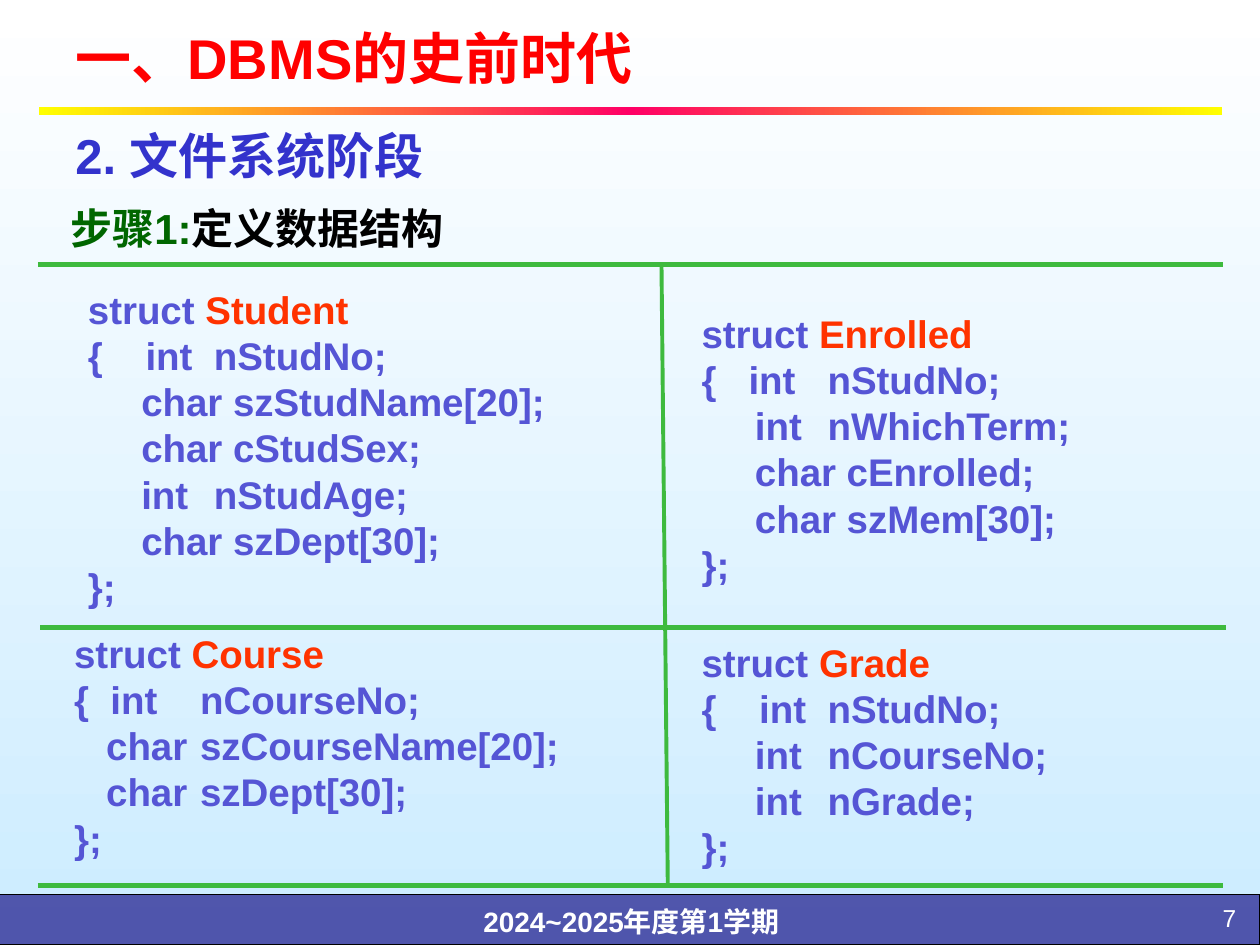
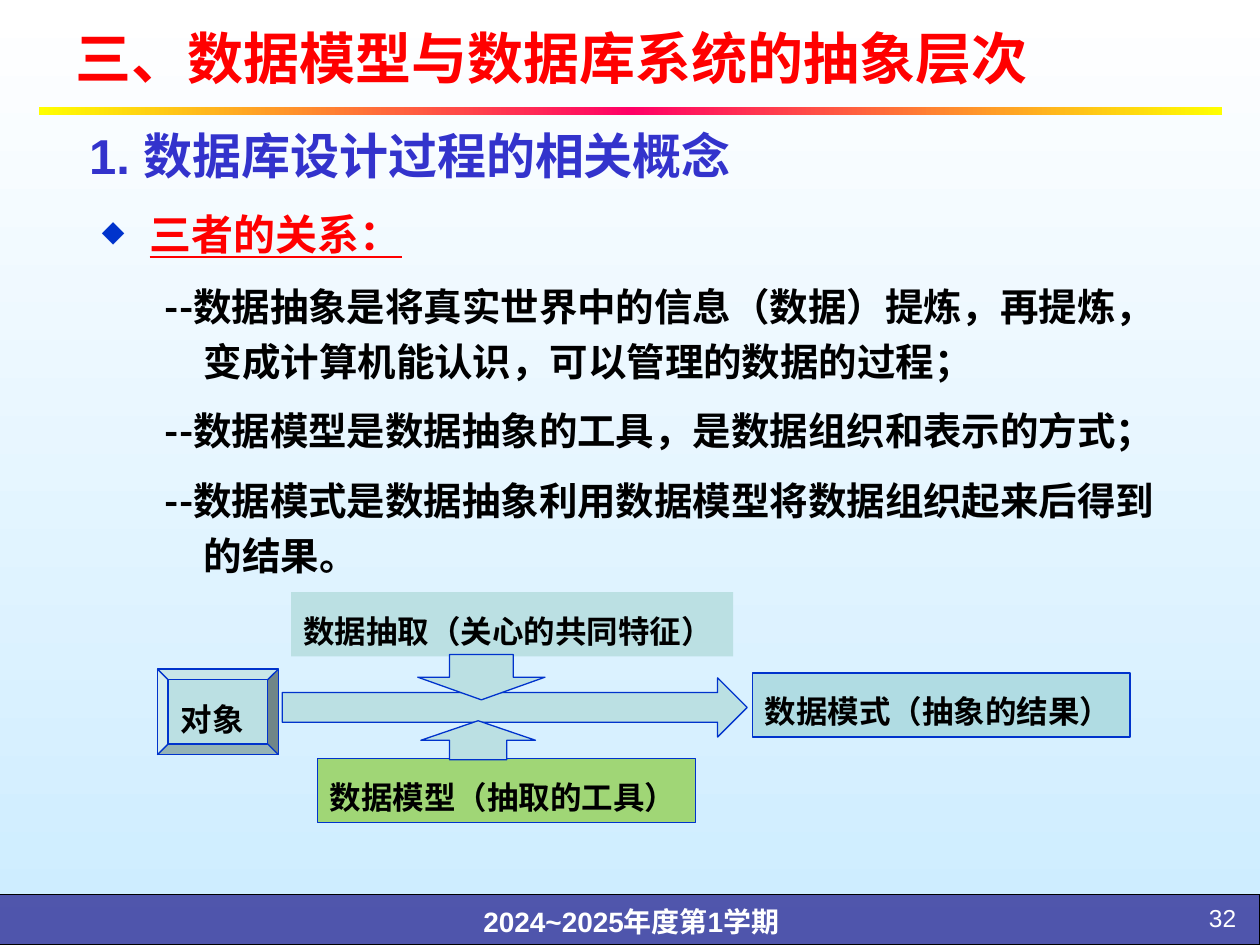
from copy import deepcopy

from pptx import Presentation
from pptx.dml.color import RGBColor
from pptx.enum.shapes import MSO_CONNECTOR, MSO_SHAPE
from pptx.enum.text import MSO_ANCHOR, PP_ALIGN
from pptx.oxml.ns import qn
from pptx.util import Inches, Pt
from lxml.etree import SubElement

LATIN, CJK = "Arial", "Noto Sans CJK SC"
WHITE = RGBColor(0xFF, 0xFF, 0xFF)
BLACK = RGBColor(0, 0, 0)
SKY = RGBColor(0xCC, 0xEC, 0xFF)
NAVY = RGBColor(0x33, 0x33, 0x99)
YELLOW = RGBColor(0xFF, 0xFF, 0)
PINK = RGBColor(0xFF, 0, 0x66)
RED = RGBColor(0xFF, 0, 0)
HEADING_BLUE = RGBColor(0x33, 0x33, 0xCC)
STEP_GREEN = RGBColor(0, 0x66, 0)
CODE_BLUE = RGBColor(0x55, 0x55, 0xD5)
STRUCT_RED = RGBColor(0xFF, 0x33, 0)
GRID_GREEN = RGBColor(0x3E, 0xBA, 0x3E)
OUTLINE_BLUE = RGBColor(0, 0x33, 0xCC)
PALE_TEAL = RGBColor(0xBB, 0xE0, 0xE3)
TEAL = RGBColor(0x9E, 0xD3, 0xD7)
LIME = RGBColor(0x92, 0xD0, 0x50)

STRUCTS = [
    (0.6, 2.22, 4.56, 2.69, "Student", [
        "{    int\tnStudNo;", "     char szStudName[20];", "     char cStudSex;",
        "     int\tnStudAge;", "     char szDept[30];", "};"]),
    (5.47, 2.41, 4.22, 2.32, "Enrolled", [
        "{   int\tnStudNo;", "     int\tnWhichTerm;", "     char cEnrolled;",
        "     char szMem[30];", "};"]),
    (0.49, 4.95, 4.78, 1.95, "Course", [
        "{  int\tnCourseNo;", "   char\tszCourseName[20];", "   char\tszDept[30];", "};"]),
    (5.47, 5.02, 4.04, 1.95, "Grade", [
        "{    int\tnStudNo;", "     int\tnCourseNo;", "     int\tnGrade;", "};"]),
]
RELATION_POINTS = [
    "--数据抽象是将真实世界中的信息（数据）提炼，再提炼，变成计算机能认识，可以管理的数据的过程；",
    "--数据模型是数据抽象的工具，是数据组织和表示的方式；",
    "--数据模式是数据抽象利用数据模型将数据组织起来后得到的结果。",
]


def add_run(paragraph, text, size, color, bold=True, latin=LATIN):
    run = paragraph.add_run()
    run.text = text
    font = run.font
    font.size, font.bold, font.name = Pt(size), bold, latin
    font.color.rgb = color
    SubElement(font._element, qn("a:ea"), typeface=CJK)
    return run


def add_frame(slide, left, top, width, height, anchor=MSO_ANCHOR.TOP):
    """Add a wrapping text box and return its text frame."""
    frame = slide.shapes.add_textbox(
        Inches(left), Inches(top), Inches(width), Inches(height)).text_frame
    frame.word_wrap = True
    frame.vertical_anchor = anchor
    return frame


def add_block(slide, kind, left, top, width, height, fill=None, alpha=100, line=None):
    block = slide.shapes.add_shape(
        kind, Inches(left), Inches(top), Inches(width), Inches(height))
    block.shadow.inherit = False
    if fill is not None:
        block.fill.solid()
        block.fill.fore_color.rgb = fill
        if alpha < 100:
            color = block.fill._xPr.find(qn("a:solidFill"))[0]
            SubElement(color, qn("a:alpha"), val=str(alpha * 1000))
    if line is None:
        block.line.fill.background()
    else:
        block.line.color.rgb = line
        block.line.width = Pt(0.75)
    return block


def set_gradient(fill, colors, angle):
    fill.gradient()
    fill.gradient_angle = angle
    stop_list = fill._xPr.find(".//" + qn("a:gsLst"))
    while len(stop_list) < len(colors):
        stop_list.append(deepcopy(stop_list[0]))
    for i, (stop, color) in enumerate(zip(fill.gradient_stops, colors)):
        stop.position = i / (len(colors) - 1)
        stop.color.rgb = color


def add_base_slide(deck, title, number):
    """Add a slide with the shared background, footer, rule and title."""
    slide = deck.slides.add_slide(deck.slide_layouts[6])
    set_gradient(slide.background.fill, [WHITE, SKY], 270)

    add_block(slide, MSO_SHAPE.RECTANGLE, -0.01, 7.1, 10.01, 0.4, NAVY, 81, BLACK)
    term = add_frame(slide, 2.69, 7.08, 4.64, 0.42).paragraphs[0]
    term.alignment, term.line_spacing = PP_ALIGN.CENTER, 1.2
    add_run(term, "2024~2025年度第1学期", 16, WHITE)

    rule = add_block(slide, MSO_SHAPE.RECTANGLE, 0.31, 0.85, 9.39, 0.06)
    set_gradient(rule.fill, [YELLOW, PINK, YELLOW], 0)

    page = add_frame(slide, 8.94, 7.12, 0.97, 0.3).paragraphs[0]
    page.alignment = PP_ALIGN.RIGHT
    add_run(page, str(number), 14, WHITE, bold=False)

    heading = add_frame(slide, 0.5, 0.07, 9, 0.76, MSO_ANCHOR.MIDDLE)
    add_run(heading.paragraphs[0], title, 32, RED)
    return slide


def add_section(slide, text, left, top, width, height):
    frame = add_frame(slide, left, top, width, height, MSO_ANCHOR.MIDDLE)
    add_run(frame.paragraphs[0], text, 28, HEADING_BLUE)


def add_struct(slide, left, top, width, height, name, body):
    frame = add_frame(slide, left, top, width, height)
    declaration = frame.paragraphs[0]
    add_run(declaration, "struct ", 22, CODE_BLUE)
    add_run(declaration, name, 22, STRUCT_RED)
    for code in body:
        add_run(frame.add_paragraph(), code, 22, CODE_BLUE)


def add_grid(slide, left, top, width, height):
    """Draw the lines that divide the four structs."""
    right, bottom, middle = left + width, top + height, top + 2.88
    for x1, y1, x2, y2, weight in [
        (left + 0.02, middle, right + 0.02, middle, 3),
        (left + 4.95, top + 0.01, left + 5, bottom, 2.25),
        (left, top, right, top, 3),
        (left, bottom, right, bottom, 3),
    ]:
        divider = slide.shapes.add_connector(
            MSO_CONNECTOR.STRAIGHT, Inches(x1), Inches(y1), Inches(x2), Inches(y2))
        divider.line.color.rgb = GRID_GREEN
        divider.line.width = Pt(weight)
        SubElement(divider._element.spPr, qn("a:effectLst"))


def set_hanging_indent(paragraph, margin, hang):
    props = paragraph._p.get_or_add_pPr()
    props.set("marL", str(Inches(margin)))
    props.set("indent", str(Inches(-hang)))
    return props


def add_relations(slide, left, top, width, height):
    frame = add_frame(slide, left, top, width, height)
    lead = frame.paragraphs[0]
    lead.line_spacing = 0.9
    props = set_hanging_indent(lead, 0.38, 0.38)
    bullet_color = SubElement(props, qn("a:buClr"))
    SubElement(bullet_color, qn("a:srgbClr"), val=str(OUTLINE_BLUE))
    SubElement(props, qn("a:buSzPct"), val="70000")
    SubElement(props, qn("a:buChar"), char="◆")
    add_run(lead, "三者的关系：", 24, RED).font.underline = True

    for text in RELATION_POINTS:
        point = frame.add_paragraph()
        point.level, point.line_spacing, point.space_before = 1, 1.2, Pt(8)
        set_hanging_indent(point, 0.81, 0.31)
        add_run(point, text, 22, BLACK, latin=CJK)


def label_block(block, text, anchor=MSO_ANCHOR.TOP, latin=CJK):
    frame = block.text_frame
    frame.word_wrap = False
    frame.vertical_anchor = anchor
    label = frame.paragraphs[0]
    label.alignment, label.line_spacing = PP_ALIGN.LEFT, 1.35
    add_run(label, text, 18, BLACK, latin=latin)


def add_abstraction_flow(slide, left, top):
    """Draw how an object becomes a data schema."""
    for x, y, width, text, fill, alpha, line in [
        (1.06, 0, 3.51, "数据抽取（关心的共同特征）", PALE_TEAL, 100, None),
        (4.72, 0.64, 3, "数据模式（抽象的结果）", TEAL, 68, OUTLINE_BLUE),
        (1.27, 1.32, 3, "数据模型（抽取的工具）", LIME, 78, OUTLINE_BLUE),
    ]:
        step = add_block(slide, MSO_SHAPE.RECTANGLE, left + x, top + y, width, 0.51,
                         fill, alpha, line)
        label_block(step, text)

    source = add_block(slide, MSO_SHAPE.BEVEL, left, top + 0.61, 0.96, 0.68,
                       PALE_TEAL, line=OUTLINE_BLUE)
    source.adjustments[0] = 0.125
    label_block(source, "对象", MSO_ANCHOR.MIDDLE, LATIN)

    for x, y, width, height, rotation in [
        (0.99, 0.68, 3.69, 0.47, 0),
        (2.39, 0.72, 0.31, 0.91, 270),
        (2.39, 0.17, 0.36, 1.01, 90),
    ]:
        arrow = add_block(slide, MSO_SHAPE.RIGHT_ARROW, left + x, top + y, width, height,
                          PALE_TEAL, line=OUTLINE_BLUE)
        arrow.rotation = rotation


def build_file_system_slide(deck):
    slide = add_base_slide(deck, "一、DBMS的史前时代", 7)
    for struct in STRUCTS:
        add_struct(slide, *struct)
    add_grid(slide, 0.3, 2.1, 9.41, 4.93)
    step = add_frame(slide, 0.46, 1.42, 8.05, 0.47).paragraphs[0]
    step.line_spacing = 1.35
    add_run(step, "步骤1:", 24, STEP_GREEN)
    add_run(step, "定义数据结构", 24, BLACK)
    add_section(slide, "2. 文件系统阶段", 0.5, 0.85, 9, 0.76)


def build_data_model_slide(deck):
    slide = add_base_slide(deck, "三、数据模型与数据库系统的抽象层次", 32)
    add_relations(slide, 0.71, 1.65, 8.82, 2.78)
    add_abstraction_flow(slide, 1.25, 4.7)
    add_section(slide, "1. 数据库设计过程的相关概念", 0.61, 0.94, 8.04, 0.58)


def main():
    deck = Presentation()
    deck.slide_width, deck.slide_height = Inches(10), Inches(7.5)
    build_file_system_slide(deck)
    build_data_model_slide(deck)
    deck.save("out.pptx")


if __name__ == "__main__":
    main()
